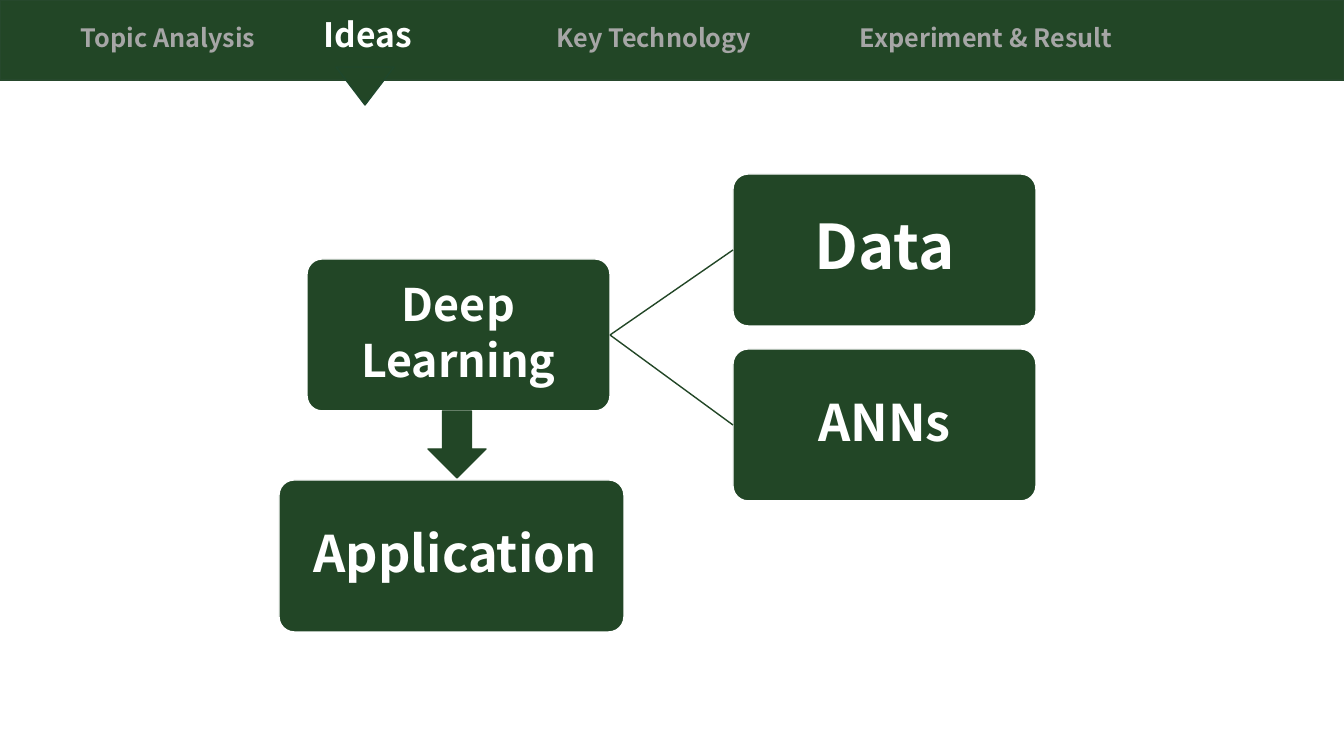
from dataclasses import dataclass

from lxml.etree import SubElement
from pptx import Presentation
from pptx.dml.color import RGBColor
from pptx.enum.shapes import MSO_CONNECTOR, MSO_SHAPE
from pptx.enum.text import MSO_ANCHOR, PP_ALIGN
from pptx.oxml.ns import qn
from pptx.util import Emu, Pt

EMU_PER_PX = 914400 / 100.8
SLIDE_W, SLIDE_H = 1344, 756


@dataclass(frozen=True)
class Theme:
    font: str = "Noto Sans CJK SC"
    green: RGBColor = RGBColor(0x22, 0x46, 0x26)
    bar_line: RGBColor = RGBColor(0x26, 0x48, 0x2C)
    marker_line: RGBColor = RGBColor(0x1F, 0x47, 0x2C)
    white: RGBColor = RGBColor(0xFF, 0xFF, 0xFF)
    gray: RGBColor = RGBColor(0xA6, 0xA6, 0xA6)
    nav: int = 18
    nav_active: int = 24
    node_small: int = 32
    node: int = 36
    node_large: int = 44


THEME = Theme()


def px(n):
    return Emu(round(n * EMU_PER_PX))


def add_run(p, text, size, color):
    r = p.add_run()
    r.text = text
    r.font.name = THEME.font
    r.font.size = Pt(size)
    r.font.bold = True
    r.font.color.rgb = color


def add_block(slide, kind, x, y, w, h, line):
    sp = slide.shapes.add_shape(kind, px(x), px(y), px(w), px(h))
    sp.shadow.inherit = False
    sp.fill.solid()
    sp.fill.fore_color.rgb = THEME.green
    sp.line.color.rgb = line
    sp.line.width = Pt(1)
    return sp


def add_node(slide, x, y, w, h, lines, size, space_after=0, shift=0):
    """Rounded box with centred text, moved right by shift px."""
    sp = add_block(slide, MSO_SHAPE.ROUNDED_RECTANGLE, x, y, w, h, THEME.white)
    sp.adjustments[0] = 0.1
    tf = sp.text_frame
    tf.word_wrap = True
    tf.vertical_anchor = MSO_ANCHOR.MIDDLE
    tf.margin_left = px(4 + 2 * shift)
    tf.margin_right = tf.margin_top = tf.margin_bottom = px(4)
    for i, text in enumerate(lines):
        p = tf.paragraphs[0] if i == 0 else tf.add_paragraph()
        p.alignment = PP_ALIGN.CENTER
        p.line_spacing = 0.9
        p.space_after = Pt(space_after)
        add_run(p, text, size, THEME.white)
    return sp


def add_link(slide, start, end):
    """Line from the right side of one box to the left side of another."""
    cn = slide.shapes.add_connector(MSO_CONNECTOR.STRAIGHT, 0, 0, 0, 0)
    cn.begin_connect(start, 3)
    cn.end_connect(end, 1)
    cn.line.color.rgb = THEME.green
    cn.line.width = Pt(1)
    SubElement(cn._element.spPr, qn("a:effectLst"))


def add_nav_bar(slide, x, y, w, h):
    # Bar and marker under the active section
    add_block(slide, MSO_SHAPE.RECTANGLE, x, y, w, h, THEME.bar_line)
    marker = add_block(slide, MSO_SHAPE.ISOSCELES_TRIANGLE,
                       x + 336, y + h - 13, 58, 38, THEME.marker_line)
    marker.rotation = 180

    # Section names on tab stops
    box = slide.shapes.add_textbox(px(x + 71), px(y + 9), px(w - 122), px(50))
    tf = box.text_frame
    tf.word_wrap = True
    p = tf.paragraphs[0]
    tabs = SubElement(p._p.get_or_add_pPr(), qn("a:tabLst"))
    for stop in (243, 476, 779):
        SubElement(tabs, qn("a:tab"), pos=str(px(stop)), algn="l")
    add_run(p, "Topic Analysis\t", THEME.nav, THEME.gray)
    add_run(p, "Ideas", THEME.nav_active, THEME.white)
    add_run(p, "\tKey Technology\tExperiment & Result", THEME.nav, THEME.gray)


def add_diagram(slide, x, y):
    node_w, node_h = 303, 152
    branch_x, branch_pitch = x + 454, 175

    # Core idea and its two branches
    core = add_node(slide, x + 28, y + 85, node_w, node_h,
                    ["Deep", "Learning"], THEME.node_small, space_after=6)
    branches = (("Data", THEME.node_large), ("ANNs", THEME.node))
    for i, (text, size) in enumerate(branches):
        branch = add_node(slide, branch_x, y + i * branch_pitch,
                          node_w, node_h, [text], size)
        add_link(slide, core, branch)

    # Arrow down to the application
    add_block(slide, MSO_SHAPE.DOWN_ARROW, x + 149, y + 237, 58, 67, THEME.green)
    add_node(slide, x, y + 306, 345, node_h, ["Application"], THEME.node, shift=4)


def main():
    prs = Presentation()
    prs.slide_width, prs.slide_height = px(SLIDE_W), px(SLIDE_H)
    slide = prs.slides.add_slide(prs.slide_layouts[6])
    add_nav_bar(slide, 0, 0, SLIDE_W, 80)
    add_diagram(slide, 279, 174)
    prs.save("out.pptx")


if __name__ == "__main__":
    main()
